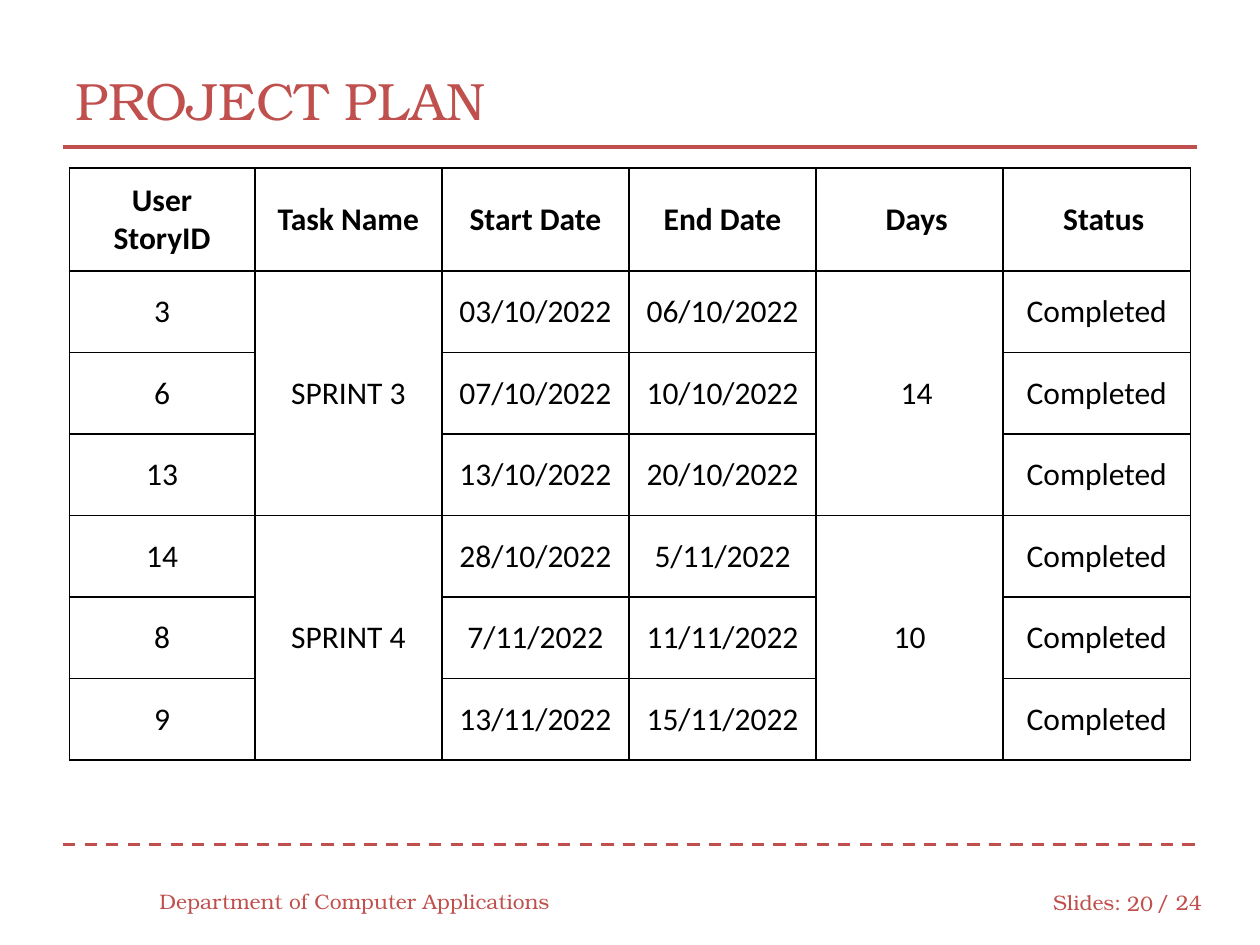
from lxml.etree import SubElement
from pptx import Presentation
from pptx.dml.color import RGBColor
from pptx.enum.dml import MSO_LINE
from pptx.enum.shapes import MSO_CONNECTOR
from pptx.enum.text import MSO_ANCHOR, PP_ALIGN
from pptx.oxml import parse_xml
from pptx.oxml.ns import nsdecls, qn
from pptx.util import Pt

RED, BLACK, WHITE = "C0504D", "000000", "FFFFFF"
SERIF, SANS = "TeX Gyre Bonum", "Calibri"

HEADER = ["User\nStoryID", "Task Name", "Start Date", "End Date", "Days", "Status"]
SPRINTS = [
    ("SPRINT 3", "14", [("3", "03/10/2022", "06/10/2022"),
                        ("6", "07/10/2022", "10/10/2022"),
                        ("13", "13/10/2022", "20/10/2022")]),
    ("SPRINT 4", "10", [("14", "28/10/2022", "5/11/2022"),
                        ("8", "7/11/2022", "11/11/2022"),
                        ("9", "13/11/2022", "15/11/2022")]),
]


def rgb(color):
    """Turn a hex string into a colour."""
    return RGBColor.from_string(color)


def format_text(tf, size, font, color, bold=False, align=PP_ALIGN.LEFT):
    """Format every paragraph and run of a text frame."""
    for p in tf.paragraphs:
        p.alignment = align
        for r in p.runs:
            r.font.size, r.font.name, r.font.bold = Pt(size), font, bold
            r.font.color.rgb = rgb(color)


def add_title(s, text):
    """Place and format the title."""
    sp = s.shapes.title
    sp.left, sp.top, sp.width, sp.height = Pt(36), Pt(24), Pt(648), Pt(66)
    tf = sp.text_frame
    tf.text = text
    tf.vertical_anchor = MSO_ANCHOR.MIDDLE
    format_text(tf, 30, SERIF, RED)


def add_footer(s, text, left, top, width, align=PP_ALIGN.LEFT):
    """Add one piece of footer text."""
    tf = s.shapes.add_textbox(Pt(left), Pt(top), Pt(width), Pt(28.8)).text_frame
    tf.text = text
    tf.word_wrap = True
    tf.vertical_anchor = MSO_ANCHOR.MIDDLE
    format_text(tf, 12, SERIF, RED, align=align)


def add_rule(s, y, dash=None):
    """Add a horizontal rule across the slide."""
    line = s.shapes.add_connector(MSO_CONNECTOR.STRAIGHT, Pt(36), Pt(y), Pt(684), Pt(y))
    line.line.color.rgb = rgb(RED)
    line.line.width = Pt(1.75)
    if dash:
        line.line.dash_style = dash
    SubElement(line._element.spPr, qn("a:effectLst"))


def style_cell(cell):
    """Give a cell its fill, borders, margins and anchor."""
    cell.fill.solid()
    cell.fill.fore_color.rgb = rgb(WHITE)
    cell.vertical_anchor = MSO_ANCHOR.MIDDLE
    cell.margin_left = cell.margin_right = Pt(7.2)
    cell.margin_top = cell.margin_bottom = Pt(7.2)
    tcPr = cell._tc.get_or_add_tcPr()
    for i, side in enumerate("LRTB"):
        tcPr.insert(i, parse_xml(
            f'<a:ln{side} {nsdecls("a")} w="{Pt(1)}"><a:solidFill>'
            f'<a:srgbClr val="{BLACK}"/></a:solidFill></a:ln{side}>'))


def fill_cell(cell, text, bold=False, indent=0):
    """Write centred text in a cell, indented from the left."""
    cell.text_frame.text = text
    cell.margin_left = Pt(7.2 + indent)
    format_text(cell.text_frame, 18, SANS, BLACK, bold, PP_ALIGN.CENTER)


def add_plan(s):
    """Add the table of sprints and their stories."""
    n = 1 + sum(len(stories) for _, _, stories in SPRINTS)
    tbl = s.shapes.add_table(n, len(HEADER), Pt(39.6), Pt(96), Pt(640.8), Pt(338.5)).table
    for i, col in enumerate(tbl.columns):
        col.width = Pt(106.95 if i else 106)
    for i, row in enumerate(tbl.rows):
        row.height = Pt(46.6 if i else 58.9)
    for cell in tbl.iter_cells():
        style_cell(cell)
    for c, text in enumerate(HEADER):
        fill_cell(tbl.cell(0, c), text, True, 8 if c > 3 else 0)
    top = 1
    for name, days, stories in SPRINTS:
        for r, (story, start, end) in enumerate(stories, top):
            for c, text in ((0, story), (2, start), (3, end), (5, "Completed")):
                fill_cell(tbl.cell(r, c), text)
        for c, text in ((1, name), (4, days)):
            tbl.cell(top, c).merge(tbl.cell(top + len(stories) - 1, c))
            fill_cell(tbl.cell(top, c), text, indent=8 if text == "14" else 0)
        top += len(stories)


def main():
    """Build the project plan slide."""
    prs = Presentation()
    prs.slide_width, prs.slide_height = Pt(720), Pt(540)
    s = prs.slides.add_slide(prs.slide_layouts[5])
    add_rule(s, 482.4, MSO_LINE.DASH)
    add_rule(s, 84)
    add_title(s, "PROJECT PLAN")
    add_footer(s, "Slides:", 594.7, 501.1, 54)
    add_footer(s, "/ 24", 653.8, 501.1, 41.8)
    add_footer(s, "Department of Computer Applications", 84, 500.4, 240)
    add_footer(s, "20", 635.8, 501.8, 30.2, PP_ALIGN.RIGHT)
    add_plan(s)
    prs.save("out.pptx")


if __name__ == "__main__":
    main()
